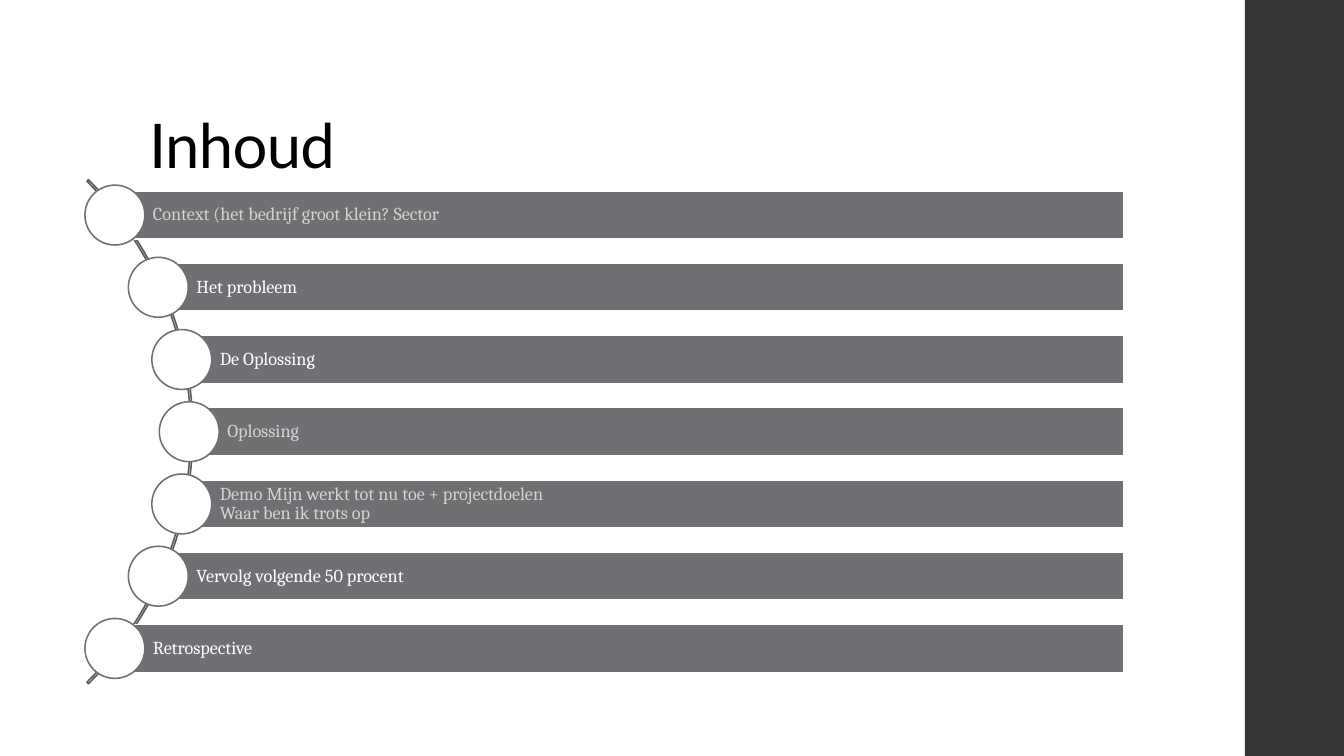
from math import sqrt

from pptx import Presentation
from pptx.dml.color import RGBColor
from pptx.enum.shapes import MSO_SHAPE
from pptx.enum.text import MSO_ANCHOR, PP_ALIGN
from pptx.util import Cm, Pt

COLOURS = {
    "sidebar": "353537",
    "bar": "6F6F74",
    "arc": "59595D",
    "white": "FFFFFF",
    "muted": "D6D3CC",
    "title": "000000",
}

TITLE = "Inhoud"
# Each topic: its lines of text and its text colour
TOPICS = [
    (["Context (het bedrijf groot klein? Sector"], "muted"),
    (["Het probleem"], "white"),
    (["De Oplossing"], "white"),
    (["Oplossing"], "muted"),
    (["Demo Mijn werkt tot nu toe + projectdoelen", "Waar ben ik trots op"], "muted"),
    (["Vervolg volgende 50 procent"], "white"),
    (["Retrospective"], "white"),
]

# Lengths in centimetres
PAGE_WIDTH, PAGE_HEIGHT = 33.87, 19.05
SIDEBAR_LEFT = 31.37
ARC_X, ARC_Y, ARC_SIZE = -4.12, 10.88, 17.96
NODE_RADIUS = 8.89
TOPIC_STEP = 1.82
BAR_RIGHT, BAR_HEIGHT = 28.32, 1.21
CIRCLE_SIZE = 1.51


def colour(name):
    return RGBColor.from_string(COLOURS[name])


def add_figure(page, kind, left, top, width, height, fill=None, line=None):
    figure = page.shapes.add_shape(kind, Cm(left), Cm(top), Cm(width), Cm(height))
    figure.shadow.inherit = False
    if fill:
        figure.fill.solid()
        figure.fill.fore_color.rgb = colour(fill)
    else:
        figure.fill.background()
    if line:
        figure.line.color.rgb = colour(line)
        figure.line.width = Pt(1.1)
    else:
        figure.line.fill.background()
    return figure


def write_lines(box, lines, font, size, ink, anchor, margins):
    frame = box.text_frame
    frame.word_wrap = True
    frame.vertical_anchor = anchor
    (frame.margin_left, frame.margin_top,
     frame.margin_right, frame.margin_bottom) = [Cm(m) for m in margins]
    para = frame.paragraphs[0]
    para.alignment = PP_ALIGN.LEFT
    para.line_spacing = 0.9
    for index, line in enumerate(lines):
        if index:
            para.add_line_break()
        span = para.add_run()
        span.text = line
        span.font.name = font
        span.font.size = Pt(size)
        span.font.color.rgb = colour(ink)
    return para


def add_topic(page, index, lines, ink):
    # Circle centres sit on the arc, at equal vertical steps
    offset = (index - (len(TOPICS) - 1) / 2) * TOPIC_STEP
    x = ARC_X + sqrt(NODE_RADIUS ** 2 - offset ** 2)
    y = ARC_Y + offset
    bar = add_figure(page, MSO_SHAPE.RECTANGLE, x, y - BAR_HEIGHT / 2,
                     BAR_RIGHT - x, BAR_HEIGHT, "bar", "white")
    write_lines(bar, lines, "Cambria", 13, ink, MSO_ANCHOR.MIDDLE, (0.96, 0.1, 0.1, 0.1))
    add_figure(page, MSO_SHAPE.OVAL, x - CIRCLE_SIZE / 2, y - CIRCLE_SIZE / 2,
               CIRCLE_SIZE, CIRCLE_SIZE, "white", "bar")


def main():
    deck = Presentation()
    deck.slide_width, deck.slide_height = Cm(PAGE_WIDTH), Cm(PAGE_HEIGHT)
    page = deck.slides.add_slide(deck.slide_layouts[6])

    # Sidebar
    add_figure(page, MSO_SHAPE.RECTANGLE, SIDEBAR_LEFT, 0,
               PAGE_WIDTH - SIDEBAR_LEFT, PAGE_HEIGHT, "sidebar")

    # Title
    box = page.shapes.add_textbox(Cm(3.51), Cm(1.02), Cm(26.92), Cm(3.68))
    para = write_lines(box, [TITLE], "Lato", 44, "title",
                       MSO_ANCHOR.BOTTOM, (0.25, 0.13, 0.25, 0.13))
    para.runs[0].font._element.set("spc", "-50")

    # Arc that links the circles
    arc = add_figure(page, MSO_SHAPE.BLOCK_ARC, ARC_X - ARC_SIZE / 2,
                     ARC_Y - ARC_SIZE / 2, ARC_SIZE, ARC_SIZE, line="arc")
    for index, value in enumerate((189, 27, 0.003)):
        arc.adjustments[index] = value

    # Topics
    for index, (lines, ink) in enumerate(TOPICS):
        add_topic(page, index, lines, ink)

    deck.save("out.pptx")


if __name__ == "__main__":
    main()
